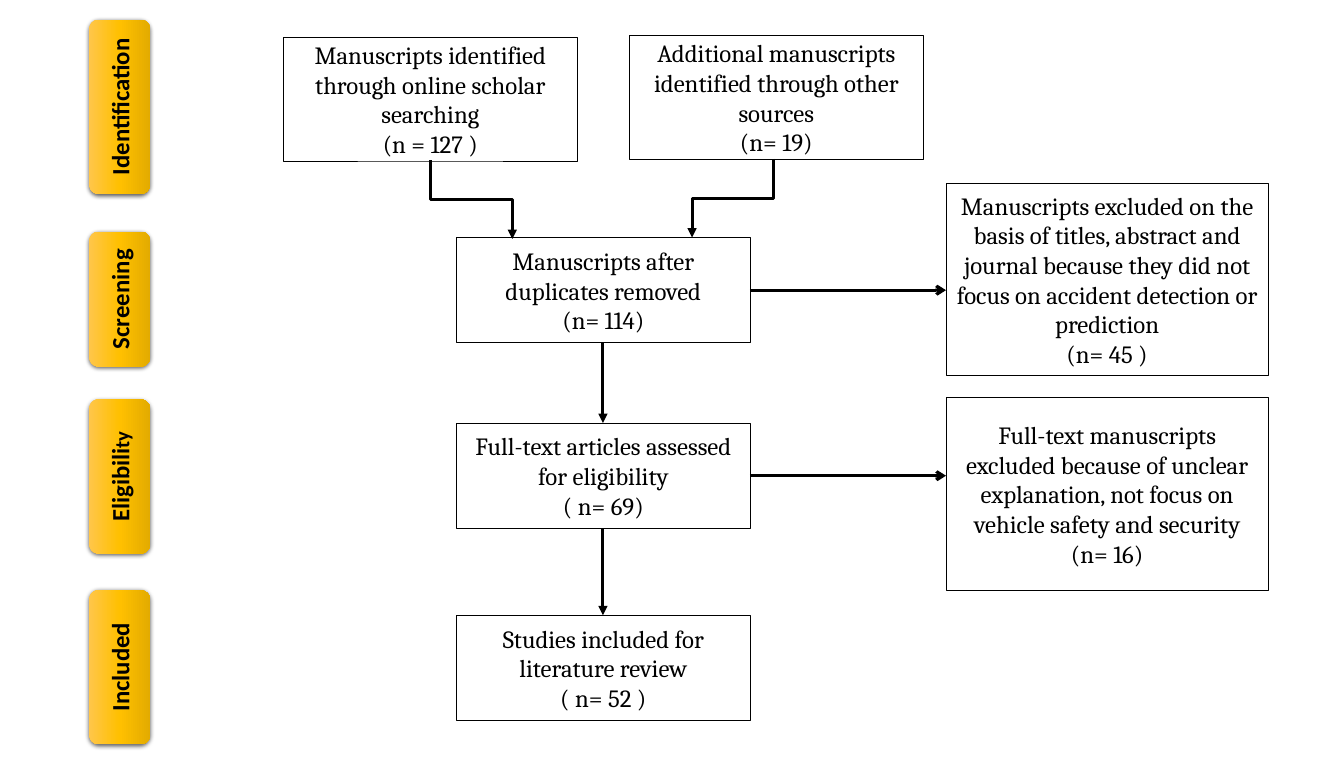
from pptx import Presentation
from pptx.dml.color import RGBColor
from pptx.enum import shapes, text
from pptx.oxml import parse_xml
from pptx.oxml.ns import nsdecls, qn
from pptx.util import Inches, Pt
from lxml import etree

COLORS = {"ink": "000000", "gold_light": "FFC64B", "gold": "FFC000", "gold_dark": "E3AB00"}

STAGE_CENTER, STAGE_THICKNESS = 1.61, 0.83
STEP_WIDTH, STEP_HEIGHT = 3.95, 1.42
SOURCE_HEIGHT = 1.67
MAIN_LEFT, MAIN_CENTER = 6.15, 8.12
EXCLUDED_LEFT, EXCLUDED_WIDTH, EXCLUDED_HEIGHT = 12.74, 4.34, 2.59

# Stage name as (text, size) spans, vertical centre, length
STAGES = [
    ([("Identification", 24)], 1.44, 2.35),
    ([("Screening", 24)], 4.03, 1.82),
    ([("Eligibili", 24), ("ty", 20)], 6.42, 2.08),
    ([("Included", 24)], 8.99, 2.08),
]

# Left, top, label, count
SOURCES = [
    (3.82, 0.5, "Manuscripts identified through online scholar searching", "(n = 127 )"),
    (8.48, 0.48, "Additional manuscripts identified through other sources", "(n= 19)"),
]

# Top, label, count
STEPS = [
    (3.2, "Manuscripts after duplicates removed", "(n= 114)"),
    (5.7, "Full-text articles assessed for eligibility", "( n= 69)"),
    (8.29, "Studies included for literature review", "( n= 52 )"),
]
EXCLUSIONS = [
    (2.47, "Manuscripts excluded on the basis of titles, abstract and journal because "
           "they did not focus on accident detection or prediction", "(n= 45 )"),
    (5.36, "Full-text manuscripts excluded because of unclear explanation, "
           "not focus on vehicle safety and security", "(n= 16)"),
]


def color(name):
    return RGBColor.from_string(COLORS[name])


def set_font(font, name, size, bold=False):
    font.name, font.size, font.bold = name, Pt(size), bold
    font.color.rgb = color("ink")


def add_shape(slide, kind, left, top, width, height):
    shape = slide.shapes.add_shape(kind, Inches(left), Inches(top), Inches(width), Inches(height))
    shape.shadow.inherit = False
    shape.text_frame.word_wrap = True
    shape.text_frame.vertical_anchor = text.MSO_ANCHOR.MIDDLE
    return shape


def add_box(slide, left, top, width, height, label, count):
    box = add_shape(slide, shapes.MSO_SHAPE.RECTANGLE, left, top, width, height)
    box.fill.background()
    box.line.color.rgb = color("ink")
    box.line.width = Pt(0.75)
    frame = box.text_frame
    frame.text = f"{label}\n{count}"
    for para in frame.paragraphs:
        para.alignment = text.PP_ALIGN.CENTER
        set_font(para.font, "Cambria", 24)


def add_stage(slide, spans, center, length):
    stage = add_shape(slide, shapes.MSO_SHAPE.ROUNDED_RECTANGLE, STAGE_CENTER - length / 2,
                      center - STAGE_THICKNESS / 2, length, STAGE_THICKNESS)
    stage.rotation = 270
    stage.line.fill.background()

    # Three-stop gradient and soft shadow
    stops = "".join(
        f'<a:gs pos="{position}"><a:srgbClr val="{COLORS[name]}"/></a:gs>'
        for position, name in ((0, "gold_light"), (50000, "gold"), (100000, "gold_dark")))
    properties = stage._element.spPr
    properties.find(qn("a:prstGeom")).addnext(parse_xml(
        f'<a:gradFill {nsdecls("a")} rotWithShape="1"><a:gsLst>{stops}</a:gsLst>'
        '<a:lin ang="5400000" scaled="0"/></a:gradFill>'))
    properties.find(qn("a:effectLst")).append(parse_xml(
        f'<a:outerShdw {nsdecls("a")} blurRad="{Pt(4.5)}" dist="{Pt(1.5)}" dir="5400000" '
        f'algn="ctr" rotWithShape="0"><a:srgbClr val="{COLORS["ink"]}">'
        '<a:alpha val="63000"/></a:srgbClr></a:outerShdw>'))

    para = stage.text_frame.paragraphs[0]
    para.alignment = text.PP_ALIGN.CENTER
    for words, size in spans:
        span = para.add_run()
        span.text = words
        set_font(span.font, "Calibri", size, bold=True)


def add_arrow(slide, start, end, head="triangle", kind=shapes.MSO_CONNECTOR.STRAIGHT):
    arrow = slide.shapes.add_connector(kind, *(Inches(length) for length in (*start, *end)))
    arrow.line.color.rgb = color("ink")
    arrow.line.width = Pt(3)
    etree.SubElement(arrow.line._get_or_add_ln(), qn("a:tailEnd"), type=head)
    etree.SubElement(arrow._element.spPr, qn("a:effectLst"))
    return arrow


def add_elbow_down(slide, start, end):
    """Elbow that leaves and arrives vertically: a horizontal elbow turned a quarter."""
    middle_x, middle_y = (start[0] + end[0]) / 2, (start[1] + end[1]) / 2
    half_width, half_height = (end[1] - start[1]) / 2, abs(end[0] - start[0]) / 2
    goes_right = end[0] > start[0]
    reach = -half_width if goes_right else half_width
    arrow = add_arrow(slide, (middle_x - reach, middle_y - half_height),
                      (middle_x + reach, middle_y + half_height),
                      kind=shapes.MSO_CONNECTOR.ELBOW)
    turn = 270 if goes_right else 90
    arrow._element.spPr.find(qn("a:xfrm")).set("rot", str(turn * 60000))


def main():
    deck = Presentation()
    deck.slide_width, deck.slide_height = Inches(18.1), Inches(10.2)
    slide = deck.slides.add_slide(deck.slide_layouts[6])

    # Stage labels
    for stage in STAGES:
        add_stage(slide, *stage)

    # Flow boxes
    for left, top, label, count in SOURCES:
        add_box(slide, left, top, STEP_WIDTH, SOURCE_HEIGHT, label, count)
    for top, label, count in STEPS:
        add_box(slide, MAIN_LEFT, top, STEP_WIDTH, STEP_HEIGHT, label, count)
    for top, label, count in EXCLUSIONS:
        add_box(slide, EXCLUDED_LEFT, top, EXCLUDED_WIDTH, EXCLUDED_HEIGHT, label, count)

    # Sources into the first step
    add_elbow_down(slide, (5.8, 2.16), (6.9, 3.22))
    add_elbow_down(slide, (10.42, 2.14), (9.32, 3.2))

    # Down the main column
    for (top, *_), (next_top, *_) in zip(STEPS, STEPS[1:]):
        add_arrow(slide, (MAIN_CENTER, top + STEP_HEIGHT), (MAIN_CENTER, next_top))

    # Out to the exclusions
    for top, *_ in STEPS[:2]:
        middle = top + STEP_HEIGHT / 2
        add_arrow(slide, (MAIN_LEFT + STEP_WIDTH, middle), (EXCLUDED_LEFT, middle), "arrow")

    deck.save("out.pptx")


if __name__ == "__main__":
    main()
